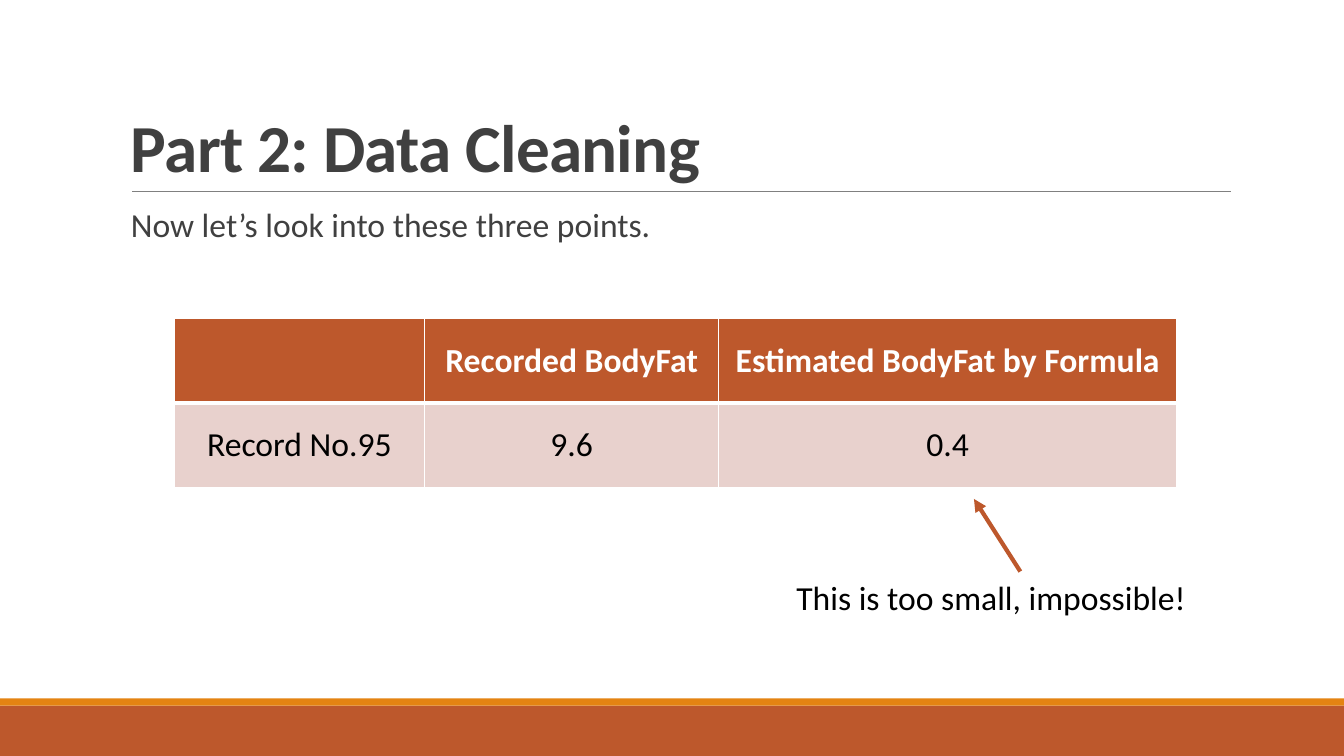
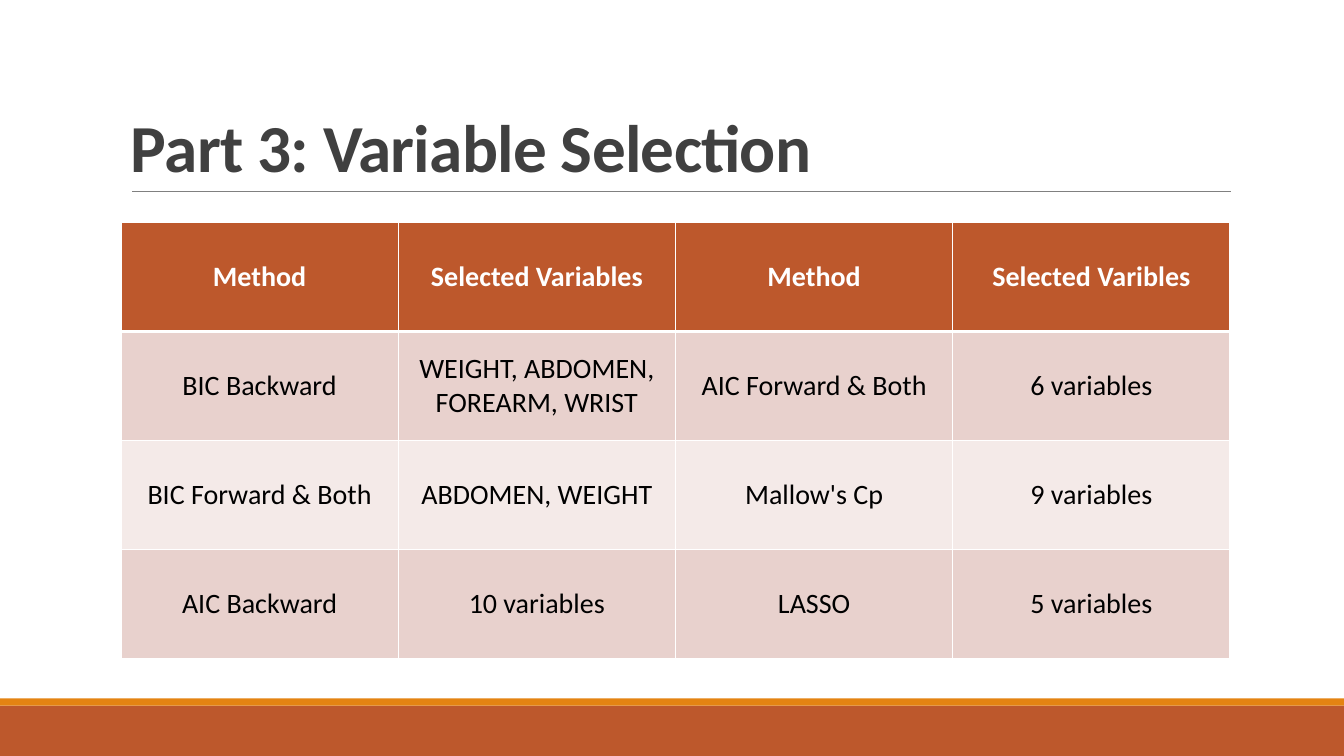
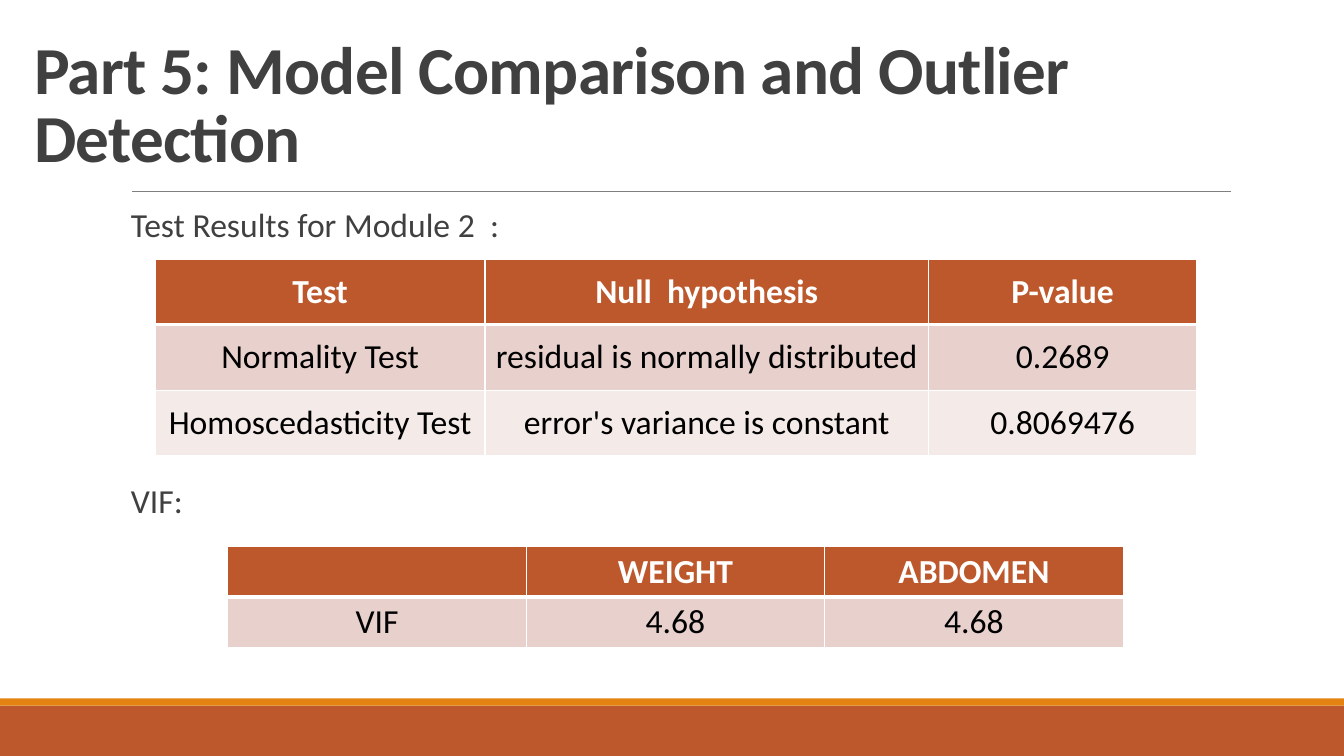
from lxml import etree
from pptx import Presentation
from pptx.dml.color import RGBColor
from pptx.enum import shapes, text
from pptx.oxml import ns
from pptx.util import Inches, Pt

COLORS = {
    "rust": "BD582C", "orange": "E48312", "rule": "808080", "ink": "404040",
    "black": "000000", "white": "FFFFFF", "band_dark": "E8D1CD", "band_light": "F4EAE8",
}
FONT = "Calibri"


def rgb(name):
    return RGBColor.from_string(COLORS[name])


def write(frame, words, size=24, color="black", bold=False, align=None,
          spacing=None, before=0, tracking=None, new=False):
    """Write one paragraph into a text frame."""
    para = frame.add_paragraph() if new else frame.paragraphs[0]
    para.alignment = align
    para.line_spacing = spacing
    para.space_before = Pt(before)
    span = para.add_run()
    span.text = words
    span.font.name, span.font.size, span.font.bold = FONT, Pt(size), bold
    span.font.color.rgb = rgb(color)
    if tracking:
        span.font._element.set("spc", str(int(tracking * 100)))


# Slide contents: body lines are (text, space before); tables hold their own grid
TITLE_BOX = (1.2, 0.31, 11, 1.59)
PAGES = [
    {
        "title": "Part 2: Data Cleaning",
        "body": [("Now let’s look into these three points.", 0)],
        "tables": [{
            "at": (1.73, 3.16), "columns": [2.48, 2.92, 4.54], "row": 0.84,
            "rows": [["", "Recorded BodyFat", "Estimated BodyFat by Formula"],
                     ["Record No.95", "9.6", "0.4"]],
        }],
    },
    {
        "title": "Part 3: Variable Selection",
        "tables": [{
            "at": (1.2, 2.21), "columns": [2.75] * 4, "row": 1.08, "size": 20,
            "rows": [["Method", "Selected Variables", "Method", "Selected Varibles"],
                     ["BIC Backward", "WEIGHT, ABDOMEN, FOREARM, WRIST",
                      "AIC Forward & Both", "6 variables"],
                     ["BIC Forward & Both", "ABDOMEN, WEIGHT", "Mallow's Cp", "9 variables"],
                     ["AIC Backward", "10 variables", "LASSO", "5 variables"]],
        }],
    },
    {
        "title": "Part 5: Model Comparison and Outlier Detection",
        "title_box": (0.24, 0.45, 12.91, 1.35),
        "body": [("Test Results for Module 2  :", 0), ("VIF:", 171)],
        "tables": [
            {
                "at": (1.54, 2.57), "columns": [3.27, 4.4, 2.66], "row": 0.65,
                "rows": [["Test", "Null  hypothesis", "P-value"],
                         ["Normality Test", "residual is normally distributed", "0.2689"],
                         ["Homoscedasticity Test", "error's variance is constant", "0.8069476"]],
            },
            {
                "at": (2.26, 5.42), "columns": [2.96] * 3, "row": 0.5,
                "rows": [["", "WEIGHT", "ABDOMEN"], ["VIF", "4.68", "4.68"]],
            },
        ],
    },
]

deck = Presentation()
deck.slide_width, deck.slide_height = Inches(13.33), Inches(7.5)

for content in PAGES:
    page = deck.slides.add_slide(deck.slide_layouts[6])

    # Footer bands and the rule under the title
    for color, top, height in [("rust", 7, 0.5), ("orange", 6.93, 0.07)]:
        band = page.shapes.add_shape(shapes.MSO_SHAPE.RECTANGLE, 0, Inches(top),
                                     deck.slide_width, Inches(height))
        band.shadow.inherit = False
        band.fill.solid()
        band.fill.fore_color.rgb = rgb(color)
        band.line.fill.background()
    rule = page.shapes.add_connector(shapes.MSO_CONNECTOR.STRAIGHT, Inches(1.31), Inches(1.9),
                                     Inches(12.21), Inches(1.9))
    rule.line.color.rgb, rule.line.width = rgb("rule"), Pt(0.5)

    # Title
    box = page.shapes.add_textbox(*map(Inches, content.get("title_box", TITLE_BOX)))
    box.text_frame.word_wrap = True
    box.text_frame.vertical_anchor = text.MSO_ANCHOR.BOTTOM
    write(box.text_frame, content["title"], size=48, color="ink", bold=True,
          spacing=0.85, tracking=-0.5)

    # Body text
    if "body" in content:
        box = page.shapes.add_textbox(Inches(1.2), Inches(2.02), Inches(11), Inches(4.4))
        box.text_frame.word_wrap = True
        for index, (line, before) in enumerate(content["body"]):
            write(box.text_frame, line, color="ink", spacing=0.9, before=before, new=index > 0)

    # Tables: rust header, alternating bands, white borders
    for grid in content.get("tables", []):
        rows, columns = grid["rows"], grid["columns"]
        table = page.shapes.add_table(len(rows), len(columns), *map(Inches, grid["at"]),
                                      Inches(sum(columns)), Inches(grid["row"] * len(rows))).table
        for column, width in zip(table.columns, columns):
            column.width = Inches(width)
        for r, row in enumerate(rows):
            table.rows[r].height = Inches(grid["row"])
            for c, words in enumerate(row):
                cell = table.cell(r, c)
                cell.vertical_anchor = text.MSO_ANCHOR.MIDDLE
                cell.fill.solid()
                cell.fill.fore_color.rgb = rgb(
                    "rust" if r == 0 else "band_dark" if r % 2 else "band_light")
                if words:
                    write(cell.text_frame, words, size=grid.get("size", 24), bold=r == 0,
                          color="white" if r == 0 else "black", align=text.PP_ALIGN.CENTER)
                widths = {"lnL": 1, "lnR": 1, "lnT": 3 if r == 1 else 1, "lnB": 3 if r == 0 else 1}
                for place, (edge, width) in enumerate(widths.items()):
                    border = etree.Element(ns.qn("a:" + edge), w=str(Pt(width)))
                    fill = etree.SubElement(border, ns.qn("a:solidFill"))
                    etree.SubElement(fill, ns.qn("a:srgbClr"), val=COLORS["white"])
                    cell._tc.tcPr.insert(place, border)

# Remark on the estimate, with its arrow
page = deck.slides[0]
remark = page.shapes.add_textbox(Inches(7.8), Inches(5.67), Inches(4.64), Inches(0.5))
remark.text_frame.word_wrap = True
write(remark.text_frame, "This is too small, impossible!")
arrow = page.shapes.add_connector(shapes.MSO_CONNECTOR.STRAIGHT, Inches(10.12), Inches(5.67),
                                  Inches(9.66), Inches(4.95))
arrow.line.color.rgb, arrow.line.width = rgb("rust"), Pt(3)
etree.SubElement(arrow.element.spPr.find(ns.qn("a:ln")), ns.qn("a:tailEnd"), type="triangle")

# Lines cast no shadow
for page in deck.slides:
    for shape in page.shapes:
        if shape.shape_type == shapes.MSO_SHAPE_TYPE.LINE:
            etree.SubElement(shape.element.spPr, ns.qn("a:effectLst"))

deck.save("out.pptx")
